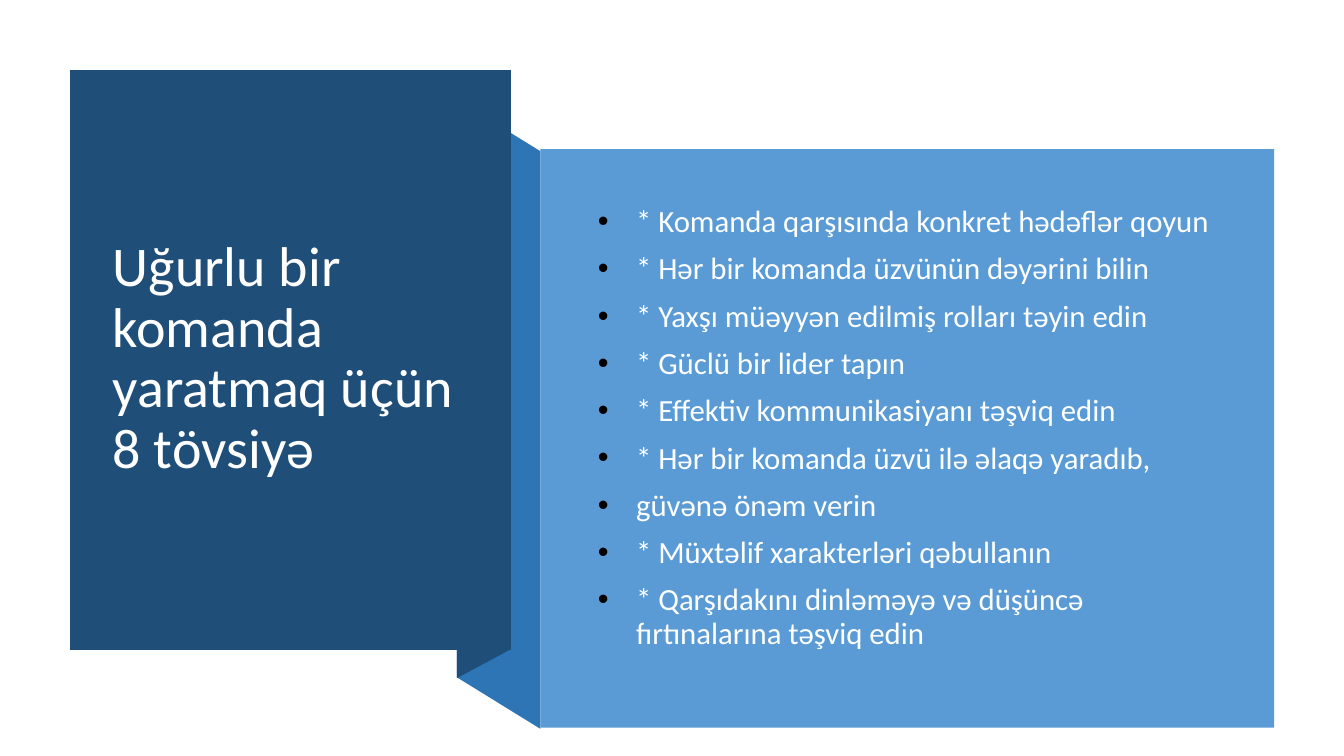
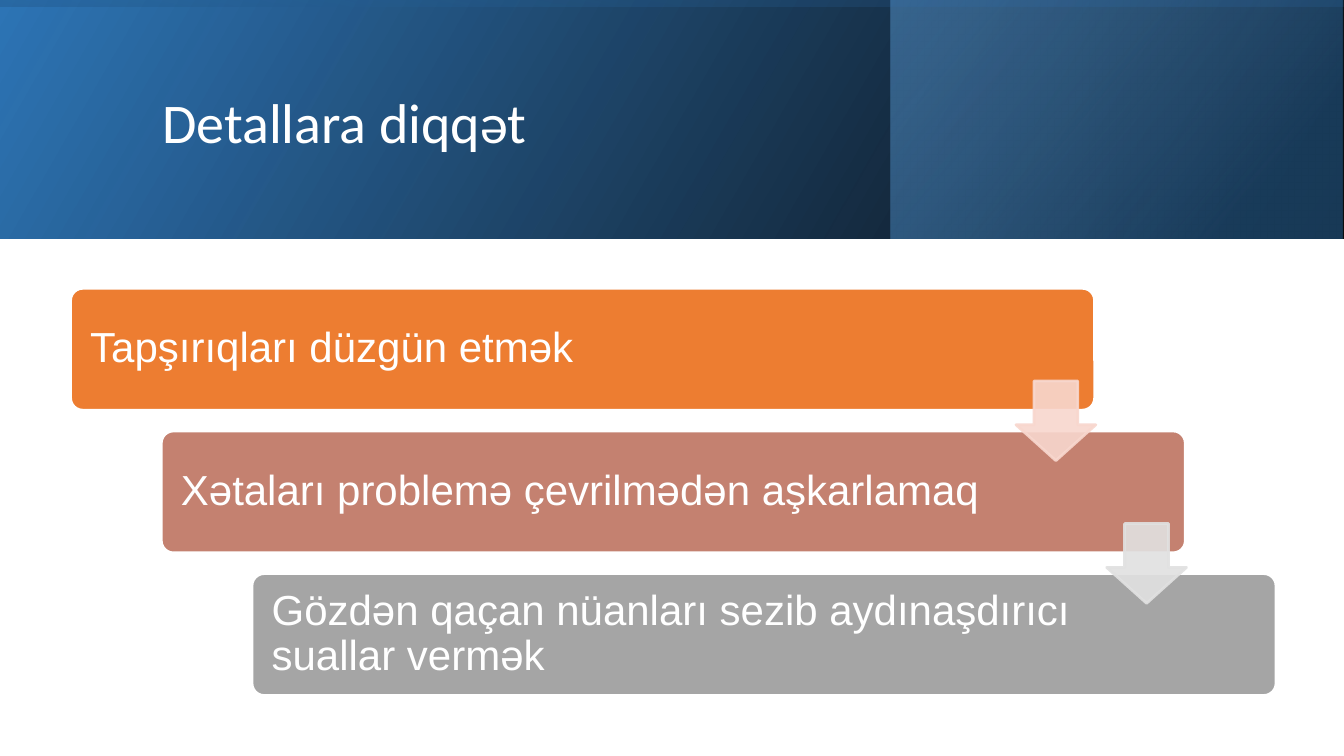
from lxml import etree
from pptx import Presentation
from pptx import util as u
from pptx.dml.color import RGBColor
from pptx.enum import shapes, text
from pptx.oxml.ns import qn

COLORS = {
    "white": "FFFFFF", "list": "FEFFFF", "black": "000000",
    "navy": "1F4E79", "blue": "2E75B6", "sky": "5B9BD5",
    "orange": "ED7D31", "clay": "C48170", "gray": "A5A5A5",
    "pale_clay": "F8D7CE", "pale_gray": "E1E1E1",
}
RGB = {name: RGBColor.from_string(value) for name, value in COLORS.items()}

presentation = Presentation()
presentation.slide_width = u.Inches(13.33)
presentation.slide_height = u.Inches(7.5)
COLUMN = presentation.slide_width / 100
ROW = presentation.slide_height / 100


def paint(shape, fill, line=None):
    shape.shadow.inherit = False
    shape.fill.solid()
    shape.fill.fore_color.rgb = RGB[fill]
    if line:
        shape.line.color.rgb = RGB[line]
        shape.line.width = u.Pt(2)
    else:
        shape.line.fill.background()


def place(shape, left, top, width, height):
    shape.left, shape.width = round(left * COLUMN), round(width * COLUMN)
    shape.top, shape.height = round(top * ROW), round(height * ROW)


tips_slide = presentation.slides.add_slide(presentation.slide_layouts[1])
details_slide = presentation.slides.add_slide(presentation.slide_layouts[5])

PANELS = [
    ("blue", [(40.2, 96.4), (34, 89.6), (34, 13.2), (40.2, 20)]),
    ("navy", [(38, 85.9), (34, 89.7), (34, 13.1), (38, 9.25)]),
    ("navy", [(5.2, 9.33), (38, 9.33), (38, 86), (5.2, 86)]),
]
for color, corners in PANELS:
    points = [(x * COLUMN, y * ROW) for x, y in corners]
    builder = tips_slide.shapes.build_freeform(*points[0])
    builder.add_line_segments(points[1:], close=True)
    paint(builder.convert_to_shape(), color)

list_panel = tips_slide.shapes.add_shape(shapes.MSO_SHAPE.RECTANGLE, 0, 0, 0, 0)
place(list_panel, 40.2, 19.73, 54.6, 76.53)
paint(list_panel, "sky")

TIPS = [
    "* Komanda qarşısında konkret hədəflər qoyun",
    "* Hər bir komanda üzvünün dəyərini bilin",
    "* Yaxşı müəyyən edilmiş rolları təyin edin",
    "* Güclü bir lider tapın",
    "* Effektiv kommunikasiyanı təşviq edin",
    "* Hər bir komanda üzvü ilə əlaqə yaradıb,",
    "güvənə önəm verin",
    "* Müxtəlif xarakterləri qəbullanın",
    "* Qarşıdakını dinləməyə və düşüncə fırtınalarına təşviq edin",
]
body = tips_slide.placeholders[1]
tips_slide.shapes._spTree.append(body._element)
place(body, 42.83, 25.07, 48.83, 63.2)
body.text_frame.text = "\n".join(TIPS)
body.text_frame.auto_size = text.MSO_AUTO_SIZE.NONE
body.text_frame.vertical_anchor = text.MSO_ANCHOR.MIDDLE
for index, paragraph in enumerate(body.text_frame.paragraphs):
    properties = paragraph._p.get_or_add_pPr()
    properties.set("marL", str(u.Inches(0.5)))
    properties.set("indent", str(u.Inches(-0.38)))
    bullet_color = etree.SubElement(properties, qn("a:buClr"))
    etree.SubElement(bullet_color, qn("a:srgbClr"), val=COLORS["black"])
    etree.SubElement(properties, qn("a:buFont"), typeface="Arial")
    etree.SubElement(properties, qn("a:buChar"), char="•")
    paragraph.line_spacing = 0.9
    paragraph.space_before = u.Pt(10 if index else 0)
    paragraph.font.size = u.Pt(22)
    paragraph.font.name = "Calibri"
    paragraph.font.color.rgb = RGB["list"]

BAND_HEIGHT = 31.6
BANDS = [
    ((0, 100), 0, 30, [(0, "black", 96), (1, "blue", 100)]),
    ((66.3, 33.6), 0, 40, [(0.19, "navy", 68), (1, "sky", 48)]),
    ((0, 100), 270, 10, [(0.23, "blue", 16), (0.99, "black", 45)]),
]
BANDS[0][3][1] = (1, "blue", 100)
for (left, width), rotation, angle, stops in BANDS:
    band = details_slide.shapes.add_shape(shapes.MSO_SHAPE.RECTANGLE, 0, 0, 0, 0)
    place(band, left, 0, width, BAND_HEIGHT)
    paint(band, "blue")
    if rotation:
        shift = (band.width - band.height) // 2
        band.left, band.top = band.left + shift, band.top - shift
        band.width, band.height = band.height, band.width
        band.rotation = rotation
    band._element.spPr.xfrm.set("flipH", "1")
    band.fill.gradient()
    band.fill.gradient_angle = angle
    for stop, (position, color, _) in zip(band.fill.gradient_stops, stops):
        stop.position = position
        stop.color.rgb = RGB[color]
    for color, (_, _, opacity) in zip(band._element.spPr.iter(qn("a:srgbClr")), stops):
        etree.SubElement(color, qn("a:alpha"), val=str(opacity * 1000))

STEP_X, STEP_Y = 6.75, 18.87
CARDS = [
    ("orange", "Tapşırıqları düzgün etmək"),
    ("clay", "Xətaları problemə çevrilmədən aşkarlamaq"),
    ("gray", "Gözdən qaçan nüanları sezib aydınaşdırıcı suallar vermək"),
]
for index, (color, label) in enumerate(CARDS):
    card = details_slide.shapes.add_shape(shapes.MSO_SHAPE.ROUNDED_RECTANGLE, 0, 0, 0, 0)
    place(card, 5.25 + index * STEP_X, 38.13 + index * STEP_Y, 76.2, 16.13)
    card.adjustments[0] = 0.1
    paint(card, color, "white")
    frame = card.text_frame
    frame.word_wrap = True
    frame.margin_left = u.Inches(0.16)
    frame.margin_right = round(13.8 * COLUMN)
    frame.vertical_anchor = text.MSO_ANCHOR.MIDDLE
    paragraph = frame.paragraphs[0]
    paragraph.text = label
    paragraph.alignment = text.PP_ALIGN.LEFT
    paragraph.line_spacing = 0.9
    paragraph.font.size = u.Pt(30)
    paragraph.font.name = "Arial"
    paragraph.font.color.rgb = RGB["white"]

for index, color in enumerate(["pale_clay", "pale_gray"]):
    arrow = details_slide.shapes.add_shape(shapes.MSO_SHAPE.DOWN_ARROW, 0, 0, 0, 0)
    place(arrow, 75.6 + index * STEP_X, 50.4 + index * STEP_Y, 5.93, 10.53)
    arrow.adjustments[0], arrow.adjustments[1] = 0.55, 0.45
    paint(arrow, color, color)
    for tint in arrow._element.spPr.iter(qn("a:srgbClr")):
        etree.SubElement(tint, qn("a:alpha"), val="90000")

TITLES = [
    (tips_slide, "Uğurlu bir komanda yaratmaq üçün 8 tövsiyə", (7.65, 14.27, 27.83, 66.53)),
    (details_slide, "Detallara diqqət", (11.33, 5.07, 79.73, 22.93)),
]
for slide, wording, area in TITLES:
    title = slide.shapes.title
    slide.shapes._spTree.append(title._element)
    place(title, *area)
    title.text_frame.auto_size = text.MSO_AUTO_SIZE.NONE
    title.text_frame.vertical_anchor = text.MSO_ANCHOR.MIDDLE
    paragraph = title.text_frame.paragraphs[0]
    paragraph.text = wording
    paragraph.alignment = text.PP_ALIGN.LEFT
    paragraph.line_spacing = 0.9
    paragraph.font.size = u.Pt(40)
    paragraph.font.name = "Calibri"
    paragraph.font.color.rgb = RGB["white"]

presentation.save("out.pptx")
